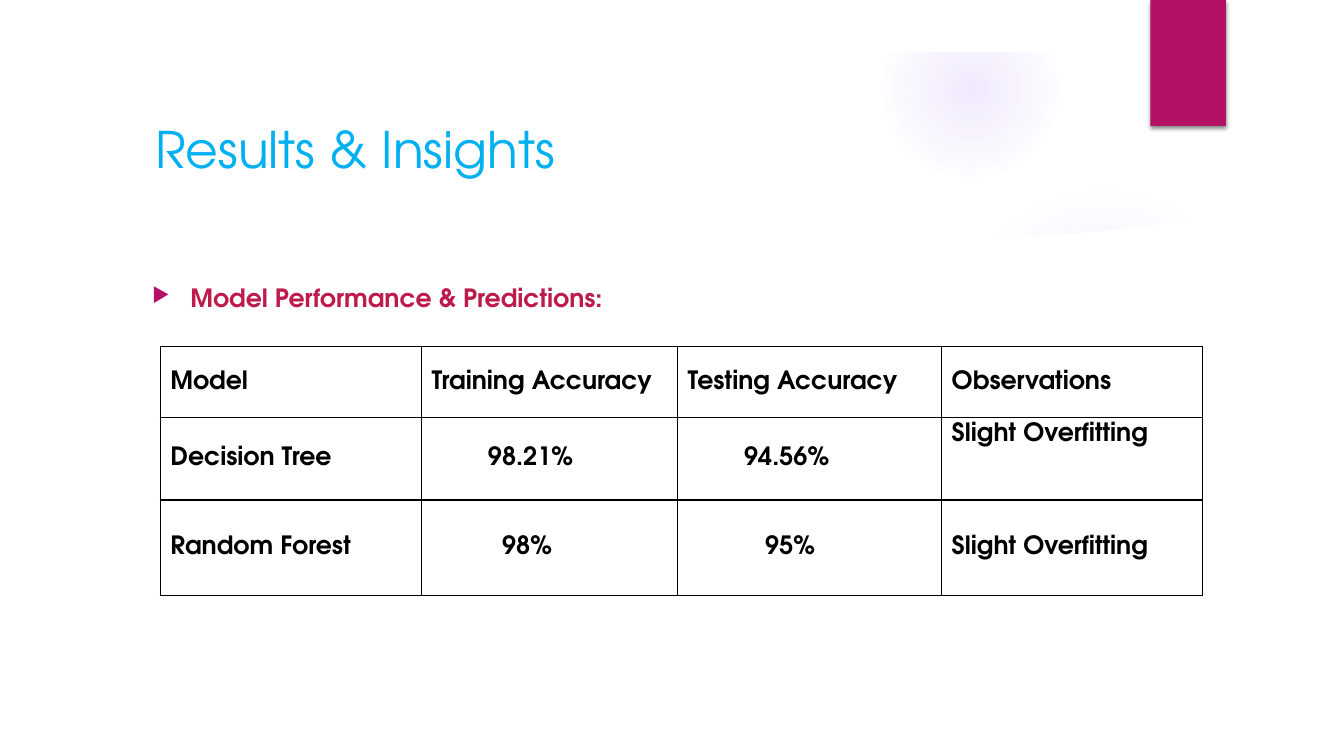
from dataclasses import dataclass

from pptx import Presentation
from pptx.dml.color import RGBColor
from pptx.enum.shapes import MSO_SHAPE as Shape
from pptx.enum.text import MSO_ANCHOR as Anchor, PP_ALIGN as Align
from pptx.oxml import parse_xml
from pptx.oxml.ns import nsdecls
from pptx.util import Inches, Pt


@dataclass(frozen=True)
class Theme:
    font: str = "TeX Gyre Adventor"
    title_color: str = "00B0F0"
    heading_color: str = "BD1B4C"
    accent: str = "B31166"
    glow: str = "9B6BF2"
    paper: str = "FFFFFF"
    ink: str = "000000"
    title_size: int = 36
    body_size: int = 18


def xml(tag, content="", attributes=""):
    return parse_xml(f"<a:{tag} {nsdecls('a')} {attributes}>{content}</a:{tag}>")


def color_xml(color, alpha=100):
    return f'<a:srgbClr val="{color}"><a:alpha val="{alpha * 1000}"/></a:srgbClr>'


class SlideBuilder:
    def __init__(self, page, theme):
        self.page = page
        self.theme = theme

    def style_text(self, para, size, color, bold=False):
        for span in para.runs:
            span.font.name = self.theme.font
            span.font.size = Pt(size)
            span.font.bold = bold
            span.font.color.rgb = RGBColor.from_string(color)

    def paint(self, shape, color):
        shape.shadow.inherit = False
        shape.fill.solid()
        shape.fill.fore_color.rgb = RGBColor.from_string(color)
        shape.line.fill.background()

    def block(self, left, top, width, height, color, kind=Shape.RECTANGLE):
        box = self.page.shapes.add_shape(
            kind, Inches(left), Inches(top), Inches(width), Inches(height))
        self.paint(box, color)
        return box

    def glow(self, left, top, size, stops):
        """Add a circle whose colour fades outwards; stops are (percent, alpha)."""
        circle = self.block(left, top, size, size, self.theme.glow, Shape.OVAL)
        marks = "".join(f'<a:gs pos="{place * 1000}">{color_xml(self.theme.glow, alpha)}</a:gs>'
                        for place, alpha in stops)
        center = '<a:fillToRect l="50000" t="50000" r="50000" b="50000"/>'
        gradient = xml("gradFill", f'<a:gsLst>{marks}</a:gsLst>'
                                   f'<a:path path="circle">{center}</a:path>')
        properties = circle.fill._xPr
        properties.replace(properties.solidFill, gradient)

    def panel(self, points, color):
        corners = [(Inches(x), Inches(y)) for x, y in points]
        builder = self.page.shapes.build_freeform(*corners[0])
        builder.add_line_segments(corners[1:], close=True)
        self.paint(builder.convert_to_shape(), color)

    def ribbon(self, left, top, width, height):
        box = self.block(left, top, width, height, self.theme.accent)
        shadow = (f'<a:outerShdw blurRad="{Pt(3)}" dist="{Pt(2)}" dir="5400000" '
                  f'rotWithShape="0">{color_xml(self.theme.ink, 45)}</a:outerShdw>')
        properties = box.fill._xPr
        properties.replace(properties.effectLst, xml("effectLst", shadow))

    def title(self, text, left, top, width, height):
        box = self.page.shapes.title
        box.left, box.top = Inches(left), Inches(top)
        box.width, box.height = Inches(width), Inches(height)
        frame = box.text_frame
        frame.text = text
        frame.vertical_anchor = Anchor.MIDDLE
        para = frame.paragraphs[0]
        para.alignment = Align.LEFT
        self.style_text(para, self.theme.title_size, self.theme.title_color)

    def bullet(self, text, left, top, width, height):
        box = self.page.shapes.add_textbox(
            Inches(left), Inches(top), Inches(width), Inches(height))
        frame = box.text_frame
        frame.word_wrap = True
        frame.text = text
        para = frame.paragraphs[0]
        para.space_before = Pt(10)
        self.style_text(para, self.theme.body_size, self.theme.heading_color, bold=True)
        properties = para._p.get_or_add_pPr()
        properties.set("marL", str(Inches(0.38)))
        properties.set("indent", str(-Inches(0.38)))
        properties.append(xml("buClr", color_xml(self.theme.accent)))
        properties.append(xml("buSzPct", attributes='val="80000"'))
        properties.append(xml("buChar", attributes='char="▶"'))

    def border(self, cell):
        properties = cell._tc.get_or_add_tcPr()
        line = f"<a:solidFill>{color_xml(self.theme.ink)}</a:solidFill>"
        for side in ("lnL", "lnR", "lnT", "lnB"):
            properties.append(xml(side, line, f'w="{Pt(1)}"'))

    def table(self, rows, left, top, widths, heights, indents, top_cells):
        """Add a grid; indents maps (row, column) to a left margin in inches."""
        grid = self.page.shapes.add_table(
            len(rows), len(widths), Inches(left), Inches(top),
            Inches(sum(widths)), Inches(sum(heights))).table
        grid.first_row = grid.horz_banding = False
        for column, width in zip(grid.columns, widths):
            column.width = Inches(width)
        for row, height in zip(grid.rows, heights):
            row.height = Inches(height)
        for r, texts in enumerate(rows):
            for c, text in enumerate(texts):
                cell = grid.cell(r, c)
                cell.text = text
                cell.margin_left = Inches(indents.get((r, c), 0.1))
                cell.vertical_anchor = Anchor.TOP if (r, c) in top_cells else Anchor.MIDDLE
                self.style_text(cell.text_frame.paragraphs[0],
                                self.theme.body_size, self.theme.ink, bold=True)
                self.border(cell)
                cell.fill.background()


def main():
    deck = Presentation()
    deck.slide_width, deck.slide_height = Inches(13.33), Inches(7.5)
    theme = Theme()
    page = deck.slides.add_slide(deck.slide_layouts[5])
    page.background.fill.solid()
    page.background.fill.fore_color.rgb = RGBColor.from_string(theme.paper)
    slide = SlideBuilder(page, theme)

    slide.glow(9.41, 1.83, 3.08, [(0, 7), (36, 6), (69, 0), (100, 0)])
    slide.glow(8.75, 0.01, 1.75, [(0, 14), (36, 7), (73, 0), (100, 0)])
    wave = [(0.5, 2.04), (2.49, 2.27), (4.44, 2.41), (6.82, 2.48), (8.67, 2.45),
            (9.76, 2.39), (10.88, 2.3), (12, 2.17), (12.84, 2.04)]
    slide.panel(wave + [(12.84, 7), (0.5, 7)], theme.paper)
    slide.block(0, 0, 13.33, 0.52, theme.paper)
    slide.ribbon(11.41, 0, 0.75, 1.25)

    slide.title("Results & Insights", 1.44, 1.09, 9.58, 0.77)
    slide.bullet("Model Performance & Predictions:", 1.41, 2.75, 9.65, 0.5)
    slide.table(
        [["Model", "Training Accuracy", "Testing Accuracy", "Observations"],
         ["Decision Tree", "98.21%", "94.56%", "Slight Overfitting"],
         ["Random Forest", "98%", "95%", "Slight Overfitting"]],
        left=1.59, top=3.44,
        widths=[2.59, 2.54, 2.62, 2.59], heights=[0.7, 0.82, 0.95],
        indents={(1, 1): 0.66, (1, 2): 0.66, (2, 1): 0.8, (2, 2): 0.87},
        top_cells={(1, 3)})
    deck.save("out.pptx")


if __name__ == "__main__":
    main()
